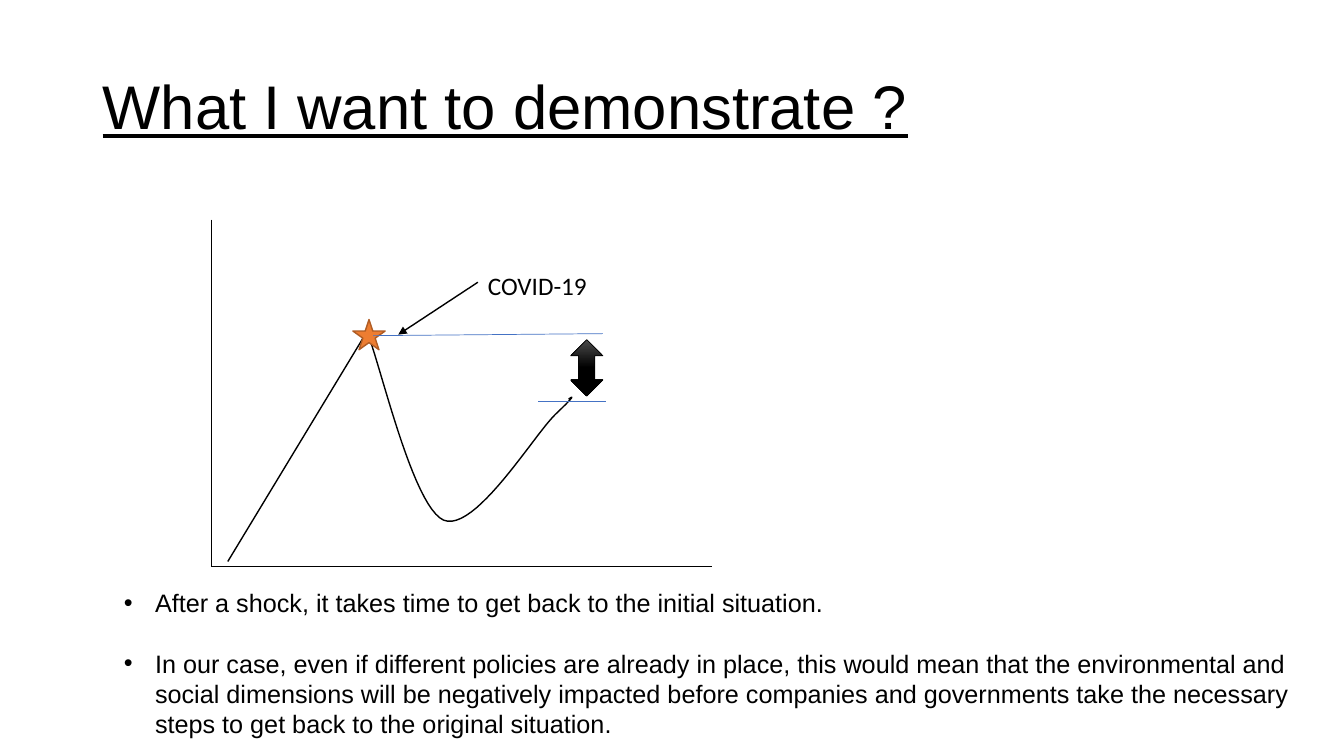
import pptx
import pptx.dml.color
import pptx.enum.shapes
import pptx.enum.text
import pptx.oxml.xmlchemy
import pptx.util

Inches = pptx.util.Inches
Pt = pptx.util.Pt
SHAPE = pptx.enum.shapes.MSO_SHAPE

COLORS = {
    "ink": "000000",
    "sheen": "4B4B4B",
    "level": "4472C4",
    "star": "ED7D31",
    "star_edge": "AF5C24",
}
TITLE = {"name": "Arial", "size": Pt(44), "underline": True}
LABEL = {"name": "Calibri", "size": Pt(18)}
BODY = {"name": "Arial", "size": Pt(18)}

BULLETS = [
    "After a shock, it takes time to get back to the initial situation.",
    "In our case, even if different policies are already in place, this would "
    "mean that the environmental and social dimensions will be negatively "
    "impacted before companies and governments take the necessary steps to "
    "get back to the original situation.",
]

# Growth starts at the first point, peaks, then follows the Bezier segments
GROWTH_START, PEAK = (2.26, 5.57), (3.64, 3.29)
RECOVERY = [
    [(3.77, 3.6), (4.09, 5.02), (4.4, 5.16)],
    [(4.71, 5.29), (5.3, 4.31), (5.51, 4.11)],
    [(5.72, 3.91), (5.68, 3.93), (5.64, 3.96)],
]


def rgb(name):
    return pptx.dml.color.RGBColor.from_string(COLORS[name])


def add_xml(parent, tag, **attributes):
    child = pptx.oxml.xmlchemy.OxmlElement("a:" + tag)
    for key, value in attributes.items():
        child.set(key, value)
    parent.append(child)


def set_line(line, color, width):
    line.color.rgb = rgb(color)
    line.width = Pt(width)


def add_text(s, box, paragraphs, font, anchor="TOP", **para_format):
    sp = s.shapes.add_textbox(*map(Inches, box))
    tf = sp.text_frame
    tf.word_wrap = True
    tf.vertical_anchor = getattr(pptx.enum.text.MSO_ANCHOR, anchor)
    for i, text in enumerate(paragraphs):
        p = tf.add_paragraph() if i else tf.paragraphs[0]
        for key, value in para_format.items():
            setattr(p, key, value)
        r = p.add_run()
        r.text = text
        for key, value in font.items():
            setattr(r.font, key, value)
        r.font.color.rgb = rgb("ink")
    return tf


def add_bullets(tf, indent):
    for p in tf.paragraphs:
        pPr = p._p.get_or_add_pPr()
        pPr.set("marL", str(Inches(indent)))
        pPr.set("indent", str(Inches(-indent)))
        add_xml(pPr, "buFont", typeface="Arial")
        add_xml(pPr, "buChar", char="•")


def add_line(s, start, end, color, width, arrow=False):
    cx = s.shapes.add_connector(
        pptx.enum.shapes.MSO_CONNECTOR.STRAIGHT, *map(Inches, start + end))
    set_line(cx.line, color, width)
    if arrow:
        add_xml(cx.line._get_or_add_ln(), "tailEnd", type="triangle")
    add_xml(cx._element.spPr, "effectLst")


def add_marker(s, kind, box, edge, width):
    sp = s.shapes.add_shape(kind, *map(Inches, box))
    sp.shadow.inherit = False
    set_line(sp.line, edge, width)
    return sp


def bezier(start, c1, c2, end, steps=24):
    for i in range(1, steps + 1):
        t = i / steps
        u = 1 - t
        yield tuple(u**3 * a + 3 * u * u * t * b + 3 * u * t * t * c + t**3 * d
                    for a, b, c, d in zip(start, c1, c2, end))


def add_curve(s):
    points = [PEAK]
    for segment in RECOVERY:
        points.extend(bezier(points[-1], *segment))
    fb = s.shapes.build_freeform(*map(Inches, GROWTH_START))
    fb.add_line_segments([(Inches(x), Inches(y)) for x, y in points], close=False)
    sp = fb.convert_to_shape()
    sp.shadow.inherit = False
    sp.fill.background()
    set_line(sp.line, "ink", 1)


def main():
    prs = pptx.Presentation()
    prs.slide_width, prs.slide_height = Inches(13.33), Inches(7.5)
    s = prs.slides.add_slide(prs.slide_layouts[6])

    # Title
    add_text(s, (0.92, 0.36, 11.5, 1.45), ["What I want to demonstrate ?"],
             TITLE, anchor="MIDDLE", line_spacing=0.9)

    # Axes and shock curve
    add_line(s, (2.1, 2.18), (2.1, 5.63), "ink", 1)
    add_line(s, (2.1, 5.62), (7.06, 5.62), "ink", 0.5)
    add_curve(s)

    # Shock point with its label
    star = add_marker(s, SHAPE.STAR_5_POINT, (3.5, 3.17, 0.32, 0.3), "star_edge", 1)
    star.fill.solid()
    star.fill.fore_color.rgb = rgb("star")
    add_line(s, (4.74, 2.8), (3.95, 3.32), "ink", 1, arrow=True)
    add_text(s, (4.74, 2.63, 1.44, 0.4), ["COVID-19"], LABEL)

    # Levels before and after, and the gap between them
    add_line(s, (5.34, 3.98), (6.01, 3.98), "level", 0.5)
    add_line(s, (3.7, 3.33), (5.98, 3.31), "level", 0.5)
    gap = add_marker(s, SHAPE.UP_DOWN_ARROW, (5.66, 3.37, 0.32, 0.56), "ink", 0.5)
    gap.fill.gradient()
    gap.fill.gradient_angle = 270
    for stop, color, position in zip(gap.fill.gradient_stops, ("sheen", "ink"), (0, 0.5)):
        stop.color.rgb = rgb(color)
        stop.position = position

    # Conclusions
    tf = add_text(s, (1.13, 5.78, 11.86, 1.62), BULLETS, BODY, space_after=Pt(21.5))
    add_bullets(tf, 0.31)

    prs.save("out.pptx")


if __name__ == "__main__":
    main()
